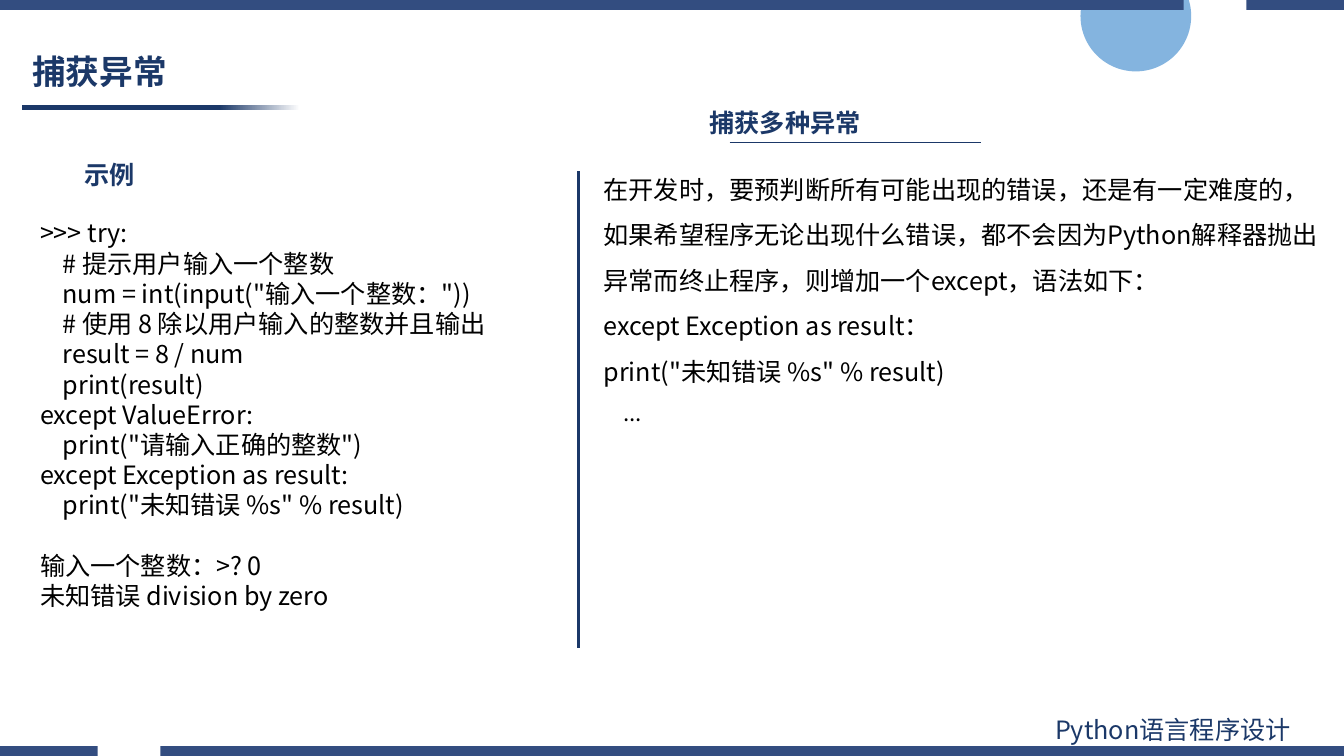
from lxml.etree import SubElement as Sub
from pptx import Presentation
from pptx.dml.color import RGBColor as Rgb
from pptx.enum.shapes import MSO_CONNECTOR as Link, MSO_SHAPE as Kind
from pptx.enum.text import MSO_ANCHOR as Anchor, MSO_AUTO_SIZE as Auto, PP_ALIGN as Align
from pptx.oxml.ns import qn
from pptx.util import Cm, Pt

HUES = {"navy": "1B3868", "bar": "334D80", "sky": "5B9BD5", "ink": "000000", "white": "FFFFFF"}
FACE = "Noto Sans CJK SC"
WIDE, HIGH, THICK = 33.87, 19.05, 0.25

CODE = [
    ">>> try:",
    "    # 提示用户输入一个整数",
    '    num = int(input("输入一个整数："))',
    "    # 使用 8 除以用户输入的整数并且输出",
    "    result = 8 / num",
    "    print(result)",
    "except ValueError:",
    '    print("请输入正确的整数")',
    "except Exception as result:",
    '    print("未知错误 %s" % result)',
    "输入一个整数：>? 0",
    "未知错误 division by zero",
]
NOTES = [
    "在开发时，要预判断所有可能出现的错误，还是有一定难度的，如果希望程序无论出现什么错误，"
    "都不会因为Python解释器抛出异常而终止程序，则增加一个except，语法如下：",
    "except Exception as result：",
    'print("未知错误 %s" % result)',
    "    ...",
]


def hue(name):
    return Rgb.from_string(HUES[name])


def put(thing, **values):
    for key, value in values.items():
        setattr(thing, key, value)


class Page:
    def __init__(self, slide):
        self.slide, self.shapes = slide, slide.shapes

    def paint(self, shape, color):
        """Plain fill, no outline, no shadow."""
        shape.shadow.inherit = False
        shape.line.fill.background()
        shape.fill.solid()
        shape.fill.fore_color.rgb = hue(color)
        return shape

    def shape(self, kind, box, color):
        return self.paint(self.shapes.add_shape(kind, *map(Cm, box)), color)

    def disc(self, box, color, alpha):
        disc = self.shape(Kind.OVAL, box, color)
        tint = next(disc.element.iter(qn("a:srgbClr")))
        Sub(tint, qn("a:alpha"), val=str(alpha * 1000))

    def fade(self, box, color):
        fill = self.shape(Kind.RECTANGLE, box, color).fill
        fill.gradient()
        fill.gradient_angle = 0
        for stop, name, place in zip(fill.gradient_stops, (color, "white"), (0.71, 1)):
            stop.color.rgb = hue(name)
            stop.position = place

    def bar(self, top, spans):
        """One band made of several pieces."""
        low = top + THICK
        pen = None
        for left, right in spans:
            if pen is None:
                pen = self.shapes.build_freeform(Cm(left), Cm(top))
            else:
                pen.move_to(Cm(left), Cm(top))
            ring = [(right, top), (right, low), (left, low)]
            pen.add_line_segments([(Cm(x), Cm(y)) for x, y in ring])
        self.paint(pen.convert_to_shape(), "bar")

    def line(self, ends, width):
        line = self.shapes.add_connector(Link.STRAIGHT, *map(Cm, ends))
        line.line.color.rgb = hue("navy")
        line.line.width = Pt(width)
        Sub(line.element.spPr, qn("a:effectLst"))

    def words(self, frame, lines, color="ink", size=18, bold=False, space=None):
        for i, line in enumerate(lines):
            para = frame.paragraphs[0] if i == 0 else frame.add_paragraph()
            put(para, alignment=Align.LEFT, line_spacing=space)
            run = para.add_run()
            run.text = line
            put(run.font, size=Pt(size), bold=bold, name=FACE)
            run.font.color.rgb = hue(color)
            Sub(run.font._element, qn("a:ea"), typeface=FACE)
        return frame.paragraphs

    def text(self, box, lines, **style):
        frame = self.shapes.add_textbox(*map(Cm, box)).text_frame
        put(frame, word_wrap=True, auto_size=Auto.SHAPE_TO_FIT_TEXT)
        return self.words(frame, lines, **style)

    def title(self, box, line):
        title = self.shapes.title
        put(title, **dict(zip(("left", "top", "width", "height"), map(Cm, box))))
        put(title.text_frame, vertical_anchor=Anchor.MIDDLE, auto_size=Auto.NONE)
        self.words(title.text_frame, [line], color="navy", size=24, bold=True, space=0.9)


def main():
    deck = Presentation()
    put(deck, slide_width=Cm(WIDE), slide_height=Cm(HIGH))
    page = Page(deck.slides.add_slide(deck.slide_layouts[5]))
    head = {"color": "navy", "bold": True}

    # Frame of the page
    page.disc((27.23, -0.99, 2.79, 2.79), "sky", 75)
    page.fade((0.55, 2.65, 7.01, 0.13), "navy")
    gaps = [(0, 2.46), (4.04, WIDE)]
    page.bar(HIGH - THICK, gaps)
    page.bar(0, [(WIDE - right, WIDE - left) for left, right in reversed(gaps)])
    page.text((26.34, 17.88, 7.47, 1.02), ["Python语言程序设计"], color="navy")
    page.title((0.56, 1.14, 9.09, 1.42), "捕获异常")

    # Right: catching many errors
    notes = page.text((14.96, 3.89, 18.59, 7.98), NOTES, space=1.5)
    notes[-1].runs[0].font.size = Pt(16)
    page.line((14.58, 4.32, 14.58, 16.33), 2)
    page.text((17.63, 2.57, 8.64, 1.02), ["捕获多种异常"], **head)
    page.line((18.39, 3.58, 24.71, 3.58), 0.5)

    # Left: sample code, with a gap before its output
    page.text((1.88, 3.89, 6.93, 1.02), ["示例"], **head)
    code = page.text((0.76, 5.36, 12.73, 11.02), CODE)
    code[-2].space_before = Pt(21.6)

    deck.save("out.pptx")


if __name__ == "__main__":
    main()
